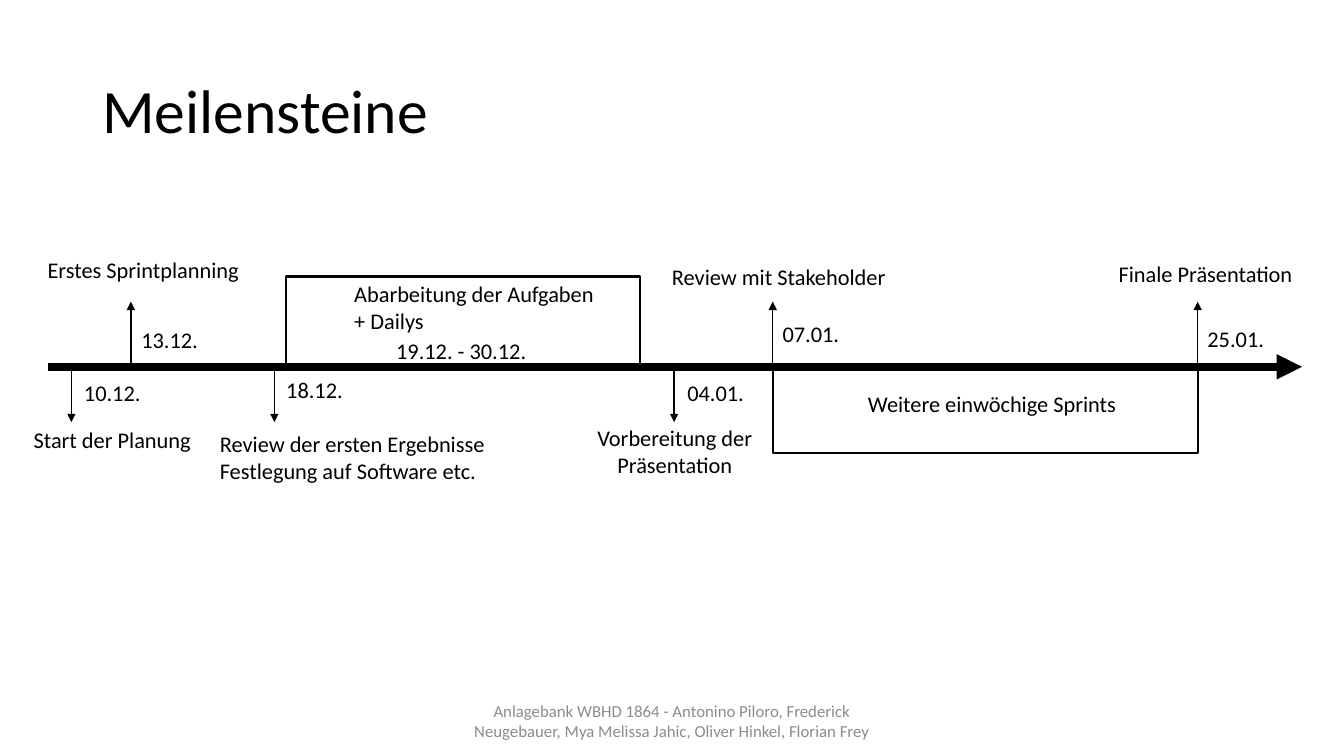
import pptx
import pptx.dml.color
import pptx.enum.shapes
import pptx.enum.text
import pptx.oxml
import pptx.oxml.ns
import pptx.util

Pt = pptx.util.Pt
ALIGN = pptx.enum.text.PP_ALIGN
ANCHOR = pptx.enum.text.MSO_ANCHOR
BLACK = "000000"
GRAY = "8C8C8C"
AXIS_Y = 262


def add_text(text, left, top, width, height, size=16, color=BLACK, align=ALIGN.LEFT,
             anchor=ANCHOR.TOP, wrap=False, insets=(0, 0, 0, 3.6), spacing=1.0):
    frame = slide.shapes.add_textbox(Pt(left), Pt(top), Pt(width), Pt(height)).text_frame
    frame.word_wrap = wrap
    frame.vertical_anchor = anchor
    (frame.margin_left, frame.margin_top,
     frame.margin_right, frame.margin_bottom) = [Pt(inset) for inset in insets]
    frame.text = text
    for paragraph in frame.paragraphs:
        paragraph.alignment = align
        paragraph.line_spacing = spacing
        for run in paragraph.runs:
            run.font.name = "Calibri"
            run.font.size = Pt(size)
            run.font.color.rgb = pptx.dml.color.RGBColor.from_string(color)


def add_arrow(start_x, start_y, end_x, end_y, width):
    arrow = slide.shapes.add_connector(pptx.enum.shapes.MSO_CONNECTOR.STRAIGHT,
                                       Pt(start_x), Pt(start_y), Pt(end_x), Pt(end_y))
    arrow.line.color.rgb = pptx.dml.color.RGBColor.from_string(BLACK)
    arrow.line.width = Pt(width)
    namespace = pptx.oxml.ns.nsdecls("a")
    arrow.line._get_or_add_ln().append(
        pptx.oxml.parse_xml(f'<a:tailEnd {namespace} type="triangle"/>'))
    arrow._element.spPr.append(pptx.oxml.parse_xml(f"<a:effectLst {namespace}/>"))


presentation = pptx.Presentation()
presentation.slide_width = Pt(960)
presentation.slide_height = Pt(540)
slide = presentation.slides.add_slide(presentation.slide_layouts[6])

# Title
frame_insets = (7.2, 3.6, 7.2, 3.6)
add_text("Meilensteine", 66, 29, 828, 104, size=44, anchor=ANCHOR.MIDDLE,
         wrap=True, insets=frame_insets, spacing=0.9)

# Time axis
add_arrow(34, AXIS_Y, 930, AXIS_Y, 6)

# Periods: left, top, width, height
for left, top, width, height in [(204.5, 197.5, 253, 64.5), (552, 263.5, 303.5, 60)]:
    period = slide.shapes.add_shape(pptx.enum.shapes.MSO_SHAPE.RECTANGLE,
                                    Pt(left), Pt(top), Pt(width), Pt(height))
    period.shadow.inherit = False
    period.fill.background()
    period.line.color.rgb = pptx.dml.color.RGBColor.from_string(BLACK)
    period.line.width = Pt(1.5)

# Milestones: arrow x, arrow tip y, date, date left, date top
UP, DOWN = 215.5, 301.5
milestones = [
    (51, DOWN, "10.12.", 60, 271),
    (93.5, UP, "13.12.", 101, 233),
    (196, DOWN, "18.12.", 204.5, 268.5),
    (481.5, DOWN, "04.01.", 491, 271),
    (552, UP, "07.01.", 559, 229),
    (855.5, UP, "25.01.", 862.5, 232),
]
for x, tip_y, date, date_left, date_top in milestones:
    add_arrow(x, AXIS_Y, x, tip_y, 1)
    add_text(date, date_left, date_top, 41, 23)

# Descriptions: text, left, top, width, height
descriptions = [
    ("Start der Planung", 24, 304.5, 114, 23),
    ("Erstes Sprintplanning", 34, 183, 138, 23),
    ("Review der ersten Ergebnisse\nFestlegung auf Software etc.", 157, 307.5, 192, 42.5),
    ("Abarbeitung der Aufgaben\n+ Dailys", 253, 200, 173, 42.5),
    ("19.12. - 30.12.", 283, 240.5, 94, 23),
    ("Review mit Stakeholder", 480, 188, 155, 23),
    ("Finale Präsentation", 799, 186, 126, 23),
    ("Weitere einwöchige Sprints", 620, 278.5, 179, 23),
]
for description in descriptions:
    add_text(*description)
add_text("Vorbereitung der Präsentation", 412, 303, 140, 42.5, align=ALIGN.CENTER, wrap=True)

# Footer
add_text("Anlagebank WBHD 1864 - Antonino Piloro, Frederick Neugebauer, "
         "Mya Melissa Jahic, Oliver Hinkel, Florian Frey",
         318, 500.5, 324, 29, size=12, color=GRAY, align=ALIGN.CENTER,
         anchor=ANCHOR.MIDDLE, wrap=True, insets=frame_insets)

presentation.save("out.pptx")
